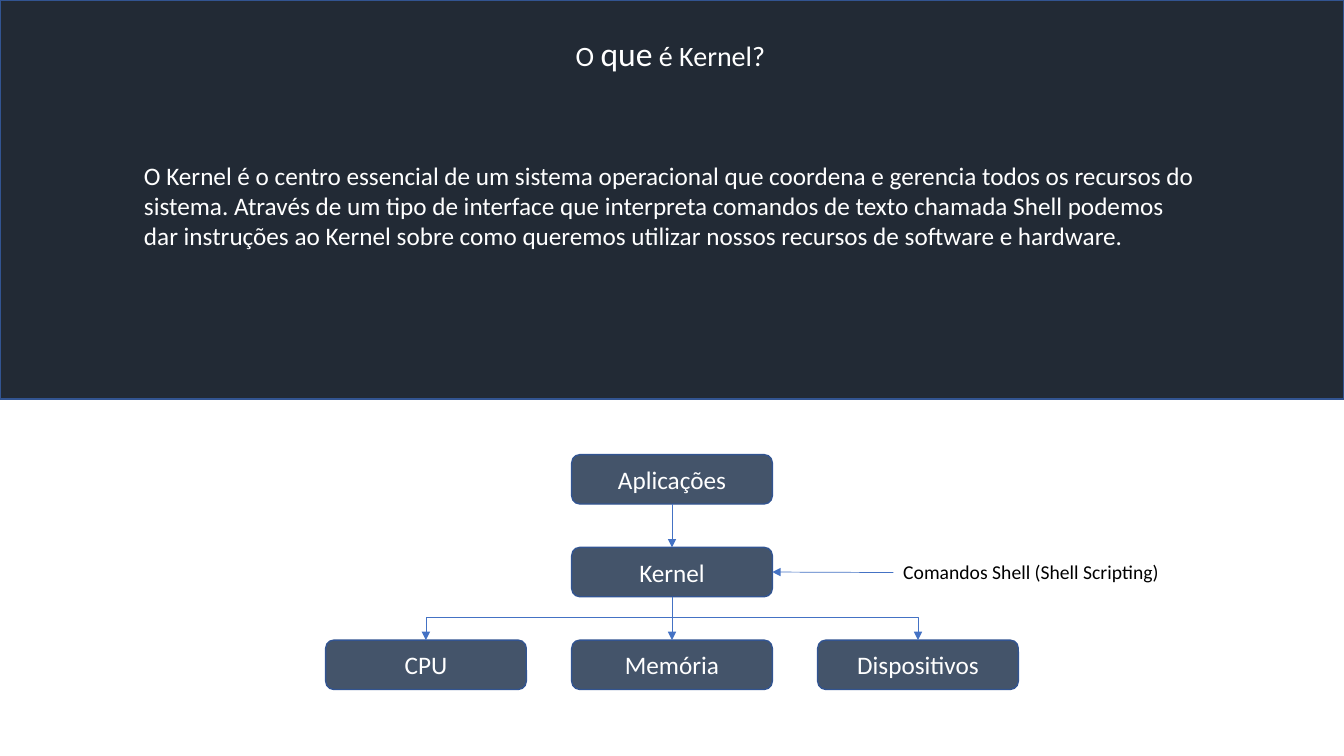
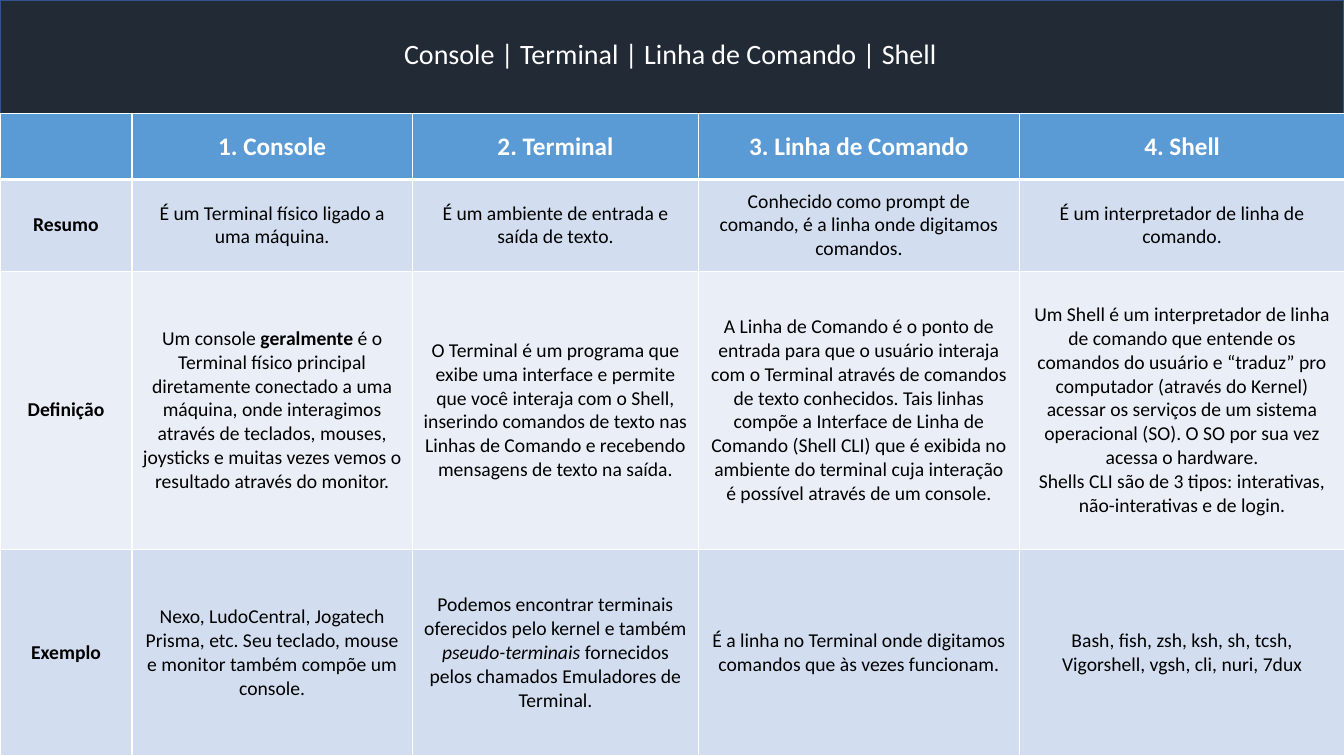
from typing import NamedTuple, Optional

from lxml.etree import SubElement
from pptx import Presentation
from pptx.dml.color import RGBColor
from pptx.enum.shapes import MSO_CONNECTOR, MSO_SHAPE
from pptx.enum.text import MSO_ANCHOR, PP_ALIGN
from pptx.oxml.ns import qn
from pptx.util import Inches, Pt

FONT = "Calibri"
WHITE = RGBColor(0xFF, 0xFF, 0xFF)
BLACK = RGBColor(0x00, 0x00, 0x00)
BAND_FILL = RGBColor(0x22, 0x2A, 0x35)
NODE_FILL = RGBColor(0x44, 0x54, 0x6A)
OUTLINE = RGBColor(0x32, 0x54, 0x91)
ARROW = RGBColor(0x44, 0x72, 0xC4)
HEADER_FILL = RGBColor(0x5B, 0x9B, 0xD5)
ROW_FILLS = (RGBColor(0xEA, 0xEF, 0xF7), RGBColor(0xD2, 0xDE, 0xEF))

SLIDE_WIDTH, SLIDE_HEIGHT = 13.33, 7.5
NODE_WIDTH, NODE_HEIGHT = 1.99, 0.49
NODE_LEFT, NODE_TOP = 5.67, 4.51
COLUMN_STEP, LEVEL_STEP = 2.44, 0.92
TOP, BOTTOM, RIGHT = 0, 2, 3  # connection sites of a node

COLUMN_WIDTHS = (1.31, 2.78, 2.84, 3.18, 3.23)
ROW_HEIGHTS = (0.65, 0.91, 2.76, 2.05)


class Run(NamedTuple):
    text: str
    size: Optional[int] = None
    bold: Optional[bool] = None
    italic: Optional[bool] = None


TABLE_ROWS = (
    ("", "1. Console", "2. Terminal", "3. Linha de Comando", "4. Shell"),
    (
        "Resumo",
        "É um Terminal físico ligado a uma máquina.",
        "É um ambiente de entrada e saída de texto.",
        "Conhecido como prompt de comando, é a linha onde digitamos comandos.",
        "É um interpretador de linha de comando.",
    ),
    (
        "Definição",
        [
            Run("Um console "),
            Run("geralmente", bold=True),
            Run(
                " é o Terminal físico principal diretamente conectado a uma máquina, "
                "onde interagimos através de teclados, mouses, joysticks e muitas "
                "vezes vemos o resultado através do monitor."
            ),
        ],
        "O Terminal é um programa que exibe uma interface e permite que você "
        "interaja com o Shell, inserindo comandos de texto nas Linhas de Comando "
        "e recebendo mensagens de texto na saída.",
        "A Linha de Comando é o ponto de entrada para que o usuário interaja com o "
        "Terminal através de comandos de texto conhecidos. Tais linhas compõe a "
        "Interface de Linha de Comando (Shell CLI) que é exibida no ambiente do "
        "terminal cuja interação é possível através de um console.",
        "Um Shell é um interpretador de linha de comando que entende os comandos do "
        "usuário e “traduz” pro computador (através do Kernel) acessar os serviços "
        "de um sistema operacional (SO). O SO por sua vez acessa o hardware.\n"
        "Shells CLI são de 3 tipos: interativas, não-interativas e de login.",
    ),
    (
        "Exemplo",
        "Nexo, LudoCentral, Jogatech Prisma, etc. Seu teclado, mouse e monitor "
        "também compõe um console.",
        [
            Run("Podemos encontrar terminais oferecidos pelo kernel e também "),
            Run("pseudo-terminais", italic=True),
            Run(" fornecidos pelos chamados Emuladores de Terminal."),
        ],
        "É a linha no Terminal onde digitamos comandos que às vezes funcionam.",
        "Bash, fish, zsh, ksh, sh, tcsh, Vigorshell, vgsh, cli, nuri, 7dux",
    ),
)


def write_text(frame, content, size, color, alignment=PP_ALIGN.LEFT, bold=False):
    """Write a string, one paragraph a line, or one paragraph of runs."""
    if isinstance(content, str):
        paragraphs = [[Run(line)] for line in content.split("\n")]
    else:
        paragraphs = [content]
    for index, runs in enumerate(paragraphs):
        paragraph = frame.add_paragraph() if index else frame.paragraphs[0]
        paragraph.alignment = alignment
        font = paragraph.font
        font.name, font.size, font.bold = FONT, Pt(size), bold
        font.color.rgb = color
        for part in runs:
            run = paragraph.add_run()
            run.text = part.text
            if part.size:
                run.font.size = Pt(part.size)
            if part.bold:
                run.font.bold = True
            if part.italic:
                run.font.italic = True


def add_box(slide, preset, left, top, width, height, fill):
    shape = slide.shapes.add_shape(
        preset, Inches(left), Inches(top), Inches(width), Inches(height)
    )
    shape.shadow.inherit = False
    shape.fill.solid()
    shape.fill.fore_color.rgb = fill
    shape.line.color.rgb = OUTLINE
    shape.line.width = Pt(1)
    return shape


def add_text(slide, left, top, width, height, content, size, color,
             alignment=PP_ALIGN.LEFT, anchor=MSO_ANCHOR.TOP):
    box = slide.shapes.add_textbox(
        Inches(left), Inches(top), Inches(width), Inches(height)
    )
    box.text_frame.word_wrap = True
    box.text_frame.vertical_anchor = anchor
    write_text(box.text_frame, content, size, color, alignment)


def add_title_band(slide, height, title):
    add_box(slide, MSO_SHAPE.RECTANGLE, 0, 0, SLIDE_WIDTH, height, BAND_FILL)
    add_text(slide, 0, 0.28, 13.3, 0.5, title, 20, WHITE,
             PP_ALIGN.CENTER, MSO_ANCHOR.MIDDLE)


def add_node(slide, label, column, level):
    """Add a box of the diagram; column 0 is the middle one."""
    node = add_box(
        slide, MSO_SHAPE.FLOWCHART_ALTERNATE_PROCESS,
        NODE_LEFT + column * COLUMN_STEP, NODE_TOP + level * LEVEL_STEP,
        NODE_WIDTH, NODE_HEIGHT, NODE_FILL,
    )
    node.text_frame.vertical_anchor = MSO_ANCHOR.MIDDLE
    write_text(node.text_frame, label, 18, WHITE, PP_ALIGN.CENTER)
    return node


def add_arrow(slide, start, end, kind=MSO_CONNECTOR.STRAIGHT):
    connector = slide.shapes.add_connector(
        kind, *(Inches(value) for value in (*start, *end))
    )
    connector.line.color.rgb = ARROW
    connector.line.width = Pt(0.5)
    properties = connector._element.spPr
    SubElement(properties.find(qn("a:ln")), qn("a:tailEnd"), type="triangle")
    SubElement(properties, qn("a:effectLst"))
    if kind == MSO_CONNECTOR.ELBOW:
        properties.find(qn("a:prstGeom")).set("prst", "bentConnector2")
    return connector


def join_nodes(slide, upper, lower):
    connector = add_arrow(slide, (0, 0), (1, 1))
    connector.begin_connect(upper, BOTTOM)
    connector.end_connect(lower, TOP)


def set_cell_borders(cell, top, bottom):
    widths = {"a:lnL": 1, "a:lnR": 1, "a:lnT": top, "a:lnB": bottom}
    properties = cell._tc.get_or_add_tcPr()
    for tag, width in widths.items():
        line = SubElement(properties, qn(tag), w=str(Pt(width)))
        fill = SubElement(line, qn("a:solidFill"))
        SubElement(fill, qn("a:srgbClr"), val=str(WHITE))


def add_comparison_table(slide, top):
    table = slide.shapes.add_table(
        len(ROW_HEIGHTS), len(COLUMN_WIDTHS), 0, Inches(top),
        Inches(SLIDE_WIDTH), Inches(SLIDE_HEIGHT - top),
    ).table
    for column, width in zip(table.columns, COLUMN_WIDTHS):
        column.width = Inches(width)
    for row, height in zip(table.rows, ROW_HEIGHTS):
        row.height = Inches(height)
    for row_index, contents in enumerate(TABLE_ROWS):
        is_header = row_index == 0
        for column_index, content in enumerate(contents):
            cell = table.cell(row_index, column_index)
            set_cell_borders(cell, 3 if row_index == 1 else 1, 3 if is_header else 1)
            cell.fill.solid()
            cell.fill.fore_color.rgb = (
                HEADER_FILL if is_header else ROW_FILLS[row_index % 2]
            )
            cell.vertical_anchor = MSO_ANCHOR.MIDDLE
            if content:
                write_text(
                    cell.text_frame, content, 18 if is_header else 14,
                    WHITE if is_header else BLACK, PP_ALIGN.CENTER,
                    bold=is_header or column_index == 0,
                )


def add_kernel_diagram(slide):
    applications = add_node(slide, "Aplicações", 0, 0)
    kernel = add_node(slide, "Kernel", 0, 1)
    add_node(slide, "CPU", -1, 2)
    memory = add_node(slide, "Memória", 0, 2)
    add_node(slide, "Dispositivos", 1, 2)

    join_nodes(slide, applications, kernel)
    join_nodes(slide, kernel, memory)
    center = NODE_LEFT + NODE_WIDTH / 2
    for side in (-1, 1):
        add_arrow(slide, (center, 6.12),
                  (center + side * COLUMN_STEP, NODE_TOP + 2 * LEVEL_STEP),
                  MSO_CONNECTOR.ELBOW)

    shell_arrow = add_arrow(slide, (8.86, 5.68), (7.66, 5.68))
    shell_arrow.end_connect(kernel, RIGHT)
    add_text(slide, 8.86, 5.51, 2.75, 0.34,
             "Comandos Shell (Shell Scripting)", 14, BLACK)


def build_kernel_slide(slide):
    add_title_band(slide, 3.96, [Run("O "), Run("que", size=24), Run(" é Kernel?")])
    add_text(
        slide, 1.33, 1.54, 10.67, 1.01,
        "O Kernel é o centro essencial de um sistema operacional que coordena e "
        "gerencia todos os recursos do sistema. Através de um tipo de interface que "
        "interpreta comandos de texto chamada Shell podemos dar instruções ao Kernel "
        "sobre como queremos utilizar nossos recursos de software e hardware.",
        18, WHITE,
    )
    add_kernel_diagram(slide)


def build_comparison_slide(slide):
    band_height = 1.13
    add_title_band(slide, band_height, "Console | Terminal | Linha de Comando | Shell")
    add_comparison_table(slide, band_height)


def main():
    presentation = Presentation()
    presentation.slide_width = Inches(SLIDE_WIDTH)
    presentation.slide_height = Inches(SLIDE_HEIGHT)
    blank_layout = presentation.slide_layouts[6]
    for build in (build_kernel_slide, build_comparison_slide):
        build(presentation.slides.add_slide(blank_layout))
    presentation.save("out.pptx")


if __name__ == "__main__":
    main()
